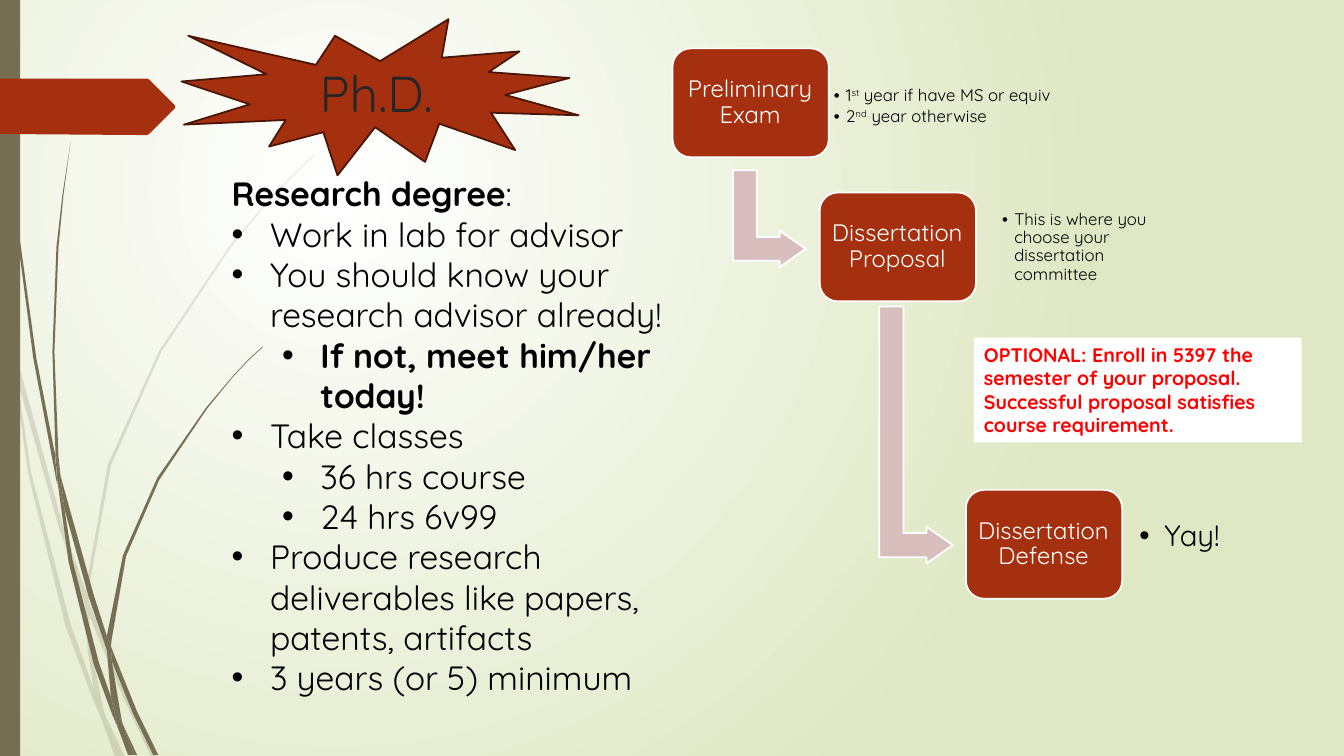
from typing import NamedTuple

from lxml import etree
from pptx import Presentation
from pptx.dml.color import RGBColor
from pptx.enum.shapes import MSO_SHAPE
from pptx.enum.text import MSO_ANCHOR, MSO_AUTO_SIZE, PP_ALIGN
from pptx.oxml.ns import qn
from pptx.shapes.autoshape import Shape
from pptx.slide import Slide
from pptx.util import Inches, Pt

STAR, RECTANGLE = MSO_SHAPE.EXPLOSION1, MSO_SHAPE.RECTANGLE
ROUNDED, BENT_ARROW = MSO_SHAPE.ROUNDED_RECTANGLE, MSO_SHAPE.BENT_UP_ARROW
TOP, MIDDLE = MSO_ANCHOR.TOP, MSO_ANCHOR.MIDDLE
LEFT, CENTER = PP_ALIGN.LEFT, PP_ALIGN.CENTER
NO_RESIZE = MSO_AUTO_SIZE.NONE
FONT = "Quicksand"
RUST, OLIVE, PINK = "A53010", "766F54", "D8BEBD"
WHITE, BLACK, RED = "FFFFFF", "000000", "FF0000"
Frame = tuple[float, float, float, float]


class Span(NamedTuple):
    text: str
    bold: bool = False
    raised: bool = False


class Para(NamedTuple):
    spans: list[Span]
    indent: float = 0
    hang: float = 0


class TextStyle(NamedTuple):
    size: float
    color: str = BLACK
    align: PP_ALIGN = LEFT
    anchor: MSO_ANCHOR = TOP
    inset_x: float = 0.1
    inset_y: float = 0.05
    line_spacing: float = 1
    space_after: float = 0


class Step(NamedTuple):
    name: str
    left: float
    top: float
    note_frame: Frame
    note_size: float
    note_inset: float
    notes: list[Para]


PALE_WISPS = [
    "0.11 3.5, 0.09 3.22, 0 2.82, 0 2.99, 0.1 3.44",
    "0.58 5.22, 0.84 5.99, 0.85 5.86, 0.62 5.2, 0.14 3.45, 0.17 3.76",
    "0.92 6.07, 0.88 5.96, 0.88 6.1, 1.23 6.94, 1.5 7.51, 1.55 7.51, 1.27 6.92",
    "1.19 7.51, 1.24 7.51, 1.05 7.11",
    "0.93 6.83, 0.7 6.19, 0.31 4.69, 0.17 3.76, 0.11 3.5, 0.28 4.7, 0.65 6.21, 0.92 6.93, 1.01 7.14, 0.99 7.07",
    "0.84 5.99, 0.87 6.46, 0.93 6.83, 0.96 6.92, 1.05 7.11, 1.03 7.06, 0.91 6.46, 0.88 6.1, 0.88 6.08",
    "0.88 5.84, 1.1 4.62, 1.6 3.49, 2.29 2.45, 2.68 1.98, 2.9 1.75, 3.12 1.54, 3.12 1.53, 2.89 1.75, "
    "2.68 1.97, 2.28 2.44, 1.58 3.48, 1.07 4.61, 0.85 5.84, 0.85 5.86, 0.88 5.96",
    "1.01 7.14, 1.14 7.51, 1.19 7.51",
    "0.88 6.08, 0.88 6.1, 0.88 5.96, 0.85 5.86, 0.84 5.99",
    "0.96 6.92, 0.93 6.83, 0.99 7.07, 1.01 7.14, 1.19 7.51, 1.05 7.11",
]
DARK_WISPS = [
    "0.07 1.1, 0.17 2.33, 0.33 3.55, 0.56 4.77, 0.57 4.81, 0.55 4.57, 0.55 4.53, 0.36 3.55, 0.19 2.32, "
    "0.08 1.09, 0.05 0.48, 0.04 0, 0.03 0, 0.04 0.48",
    "0.88 5.92, 1.06 6.45, 1.06 6.33, 1.06 6.31, 0.93 5.9, 0.6 4.72, 0.64 5.05",
    "1.13 6.49, 1.1 6.41, 1.11 6.56, 1.32 7.08, 1.52 7.49, 1.57 7.49, 1.36 7.06",
    "1.1 6.91, 0.98 6.57, 0.72 5.56, 0.64 5.05, 0.57 4.77, 0.68 5.57, 0.93 6.59, 1.11 7.08, 1.17 7.22, 1.16 7.17",
    "0.6 4.72, 0.58 4.53, 0.54 3.49, 0.58 2.45, 0.63 1.93, 0.7 1.41, 0.62 1.93, 0.56 2.45, 0.52 3.49, 0.55 4.49",
    "1.33 7.49, 1.36 7.49, 1.22 7.19",
    "0.57 4.77, 0.64 5.05, 0.6 4.72, 0.55 4.49, 0.55 4.53",
    "1.11 6.33, 1.25 5.52, 1.58 4.76, 2.05 4.06, 2.31 3.74, 2.45 3.59, 2.61 3.44, 2.6 3.44, 2.45 3.58, "
    "2.31 3.73, 2.04 4.05, 1.56 4.74, 1.22 5.51, 1.06 6.31, 1.1 6.41",
    "1.17 7.22, 1.27 7.49, 1.31 7.49",
    "1.06 6.45, 1.1 6.91, 1.16 7.06, 1.22 7.19, 1.21 7.16, 1.11 6.56, 1.09 6.51",
    "1.06 6.45, 1.09 6.51, 1.11 6.56, 1.1 6.41, 1.06 6.31, 1.06 6.33",
    "1.16 7.06, 1.1 6.91, 1.16 7.17, 1.17 7.22, 1.3 7.49, 1.33 7.49, 1.22 7.19",
]
PENNANT = "1.73 1.08, 1.48 1.33, 1.46 1.34, 1.36 1.34, 0 1.33, 0 0.78, 1.36 0.78, 1.46 0.78, 1.48 0.79, 1.73 1.04, 1.74 1.06"
DEGREE_NOTES = [
    Para([Span("Research degree", True), Span(":")]),
    Para([Span("Work in lab for advisor")], 0.38, 0.38),
    Para([Span("You should know your research advisor already!")], 0.38, 0.38),
    Para([Span("If not, meet him/her today!", True)], 0.88, 0.38),
    Para([Span("Take classes")], 0.38, 0.38),
    Para([Span("36 hrs course")], 0.88, 0.38),
    Para([Span("24 hrs 6v99")], 0.88, 0.38),
    Para([Span("Produce research deliverables like papers, patents, artifacts")], 0.38, 0.38),
    Para([Span("3 years (or 5) minimum")], 0.38, 0.38),
]
STEPS = [
    Step("Preliminary Exam", 6.67, 0.48, (8.2, 0.48, 3.53, 1.16), 12, 0.07, [
        Para([Span("1"), Span("st", raised=True), Span(" year if have MS or equiv")], 0.12, 0.12),
        Para([Span("2"), Span("nd", raised=True), Span(" year otherwise")], 0.12, 0.12)]),
    Step("Dissertation Proposal", 8.13, 1.91, (9.87, 1.94, 1.65, 1.03), 12, 0.07,
         [Para([Span("This is where you choose your dissertation committee")], 0.12, 0.12)]),
    Step("Dissertation Defense", 9.58, 4.86, (11.19, 4.89, 1.13, 0.88), 21, 0.11, [Para([Span("Yay!")], 0.25, 0.25)]),
]
ARROWS: list[Frame] = [(7.15, 1.81, 0.96, 0.72), (7.81, 3.95, 2.55, 0.73)]
OPTIONAL = "OPTIONAL: Enroll in 5397 the semester of your proposal. Successful proposal satisfies course requirement."


def rgb(color: str) -> RGBColor:
    return RGBColor.from_string(color)


def apply_format(target: object, values: dict[str, object]) -> None:
    for name, value in values.items():
        setattr(target, name, value)


def paint(shape: Shape, fill: str, line: str = "", alpha: int = 100) -> None:
    shape.shadow.inherit = False
    shape.fill.solid()
    shape.fill.fore_color.rgb = rgb(fill)
    if alpha < 100:
        color = shape.element.spPr.find(qn("a:solidFill"))[0]
        etree.SubElement(color, qn("a:alpha"), val=str(alpha * 1000))
    if line:
        shape.line.width = Pt(1.25)
        shape.line.color.rgb = rgb(line)
    else:
        shape.line.fill.background()


def add_preset(page: Slide, kind: MSO_SHAPE, frame: Frame, fill: str, line: str = "") -> Shape:
    shape = page.shapes.add_shape(kind, *map(Inches, frame))
    paint(shape, fill, line)
    return shape


def add_outline(page: Slide, outline: str, fill: str, alpha: int = 100) -> None:
    corners = [tuple(Inches(float(number)) for number in pair.split()) for pair in outline.split(", ")]
    builder = page.shapes.build_freeform(*corners[0])
    builder.add_line_segments(corners[1:], close=True)
    paint(builder.convert_to_shape(), fill, alpha=alpha)


def write(shape: Shape, paras: list[Para], style: TextStyle) -> None:
    frame, side, edge = shape.text_frame, Inches(style.inset_x), Inches(style.inset_y)
    apply_format(frame, {"word_wrap": True, "auto_size": NO_RESIZE, "vertical_anchor": style.anchor,
                         "margin_left": side, "margin_right": side, "margin_top": edge, "margin_bottom": edge})
    for index, item in enumerate(paras):
        para = frame.add_paragraph() if index else frame.paragraphs[0]
        apply_format(para, {"alignment": style.align, "line_spacing": style.line_spacing,
                            "space_before": Pt(0), "space_after": Pt(style.space_after)})
        if item.hang:
            properties = para._p.get_or_add_pPr()
            properties.set("marL", str(Inches(item.indent)))
            properties.set("indent", str(-Inches(item.hang)))
            etree.SubElement(properties, qn("a:buFont"), typeface="Arial")
            etree.SubElement(properties, qn("a:buChar"), char="•")
        for part in item.spans:
            span = para.add_run()
            span.text = part.text
            apply_format(span.font, {"name": FONT, "size": Pt(style.size), "bold": part.bold})
            span.font.color.rgb = rgb(style.color)
            if part.raised:
                span._r.get_or_add_rPr().set("baseline", "30000")


def add_text(page: Slide, frame: Frame, paras: list[Para], style: TextStyle) -> None:
    write(page.shapes.add_textbox(*map(Inches, frame)), paras, style)


def set_background(page: Slide) -> None:
    fill = page.background.fill
    fill.gradient()
    for stop, color, position in zip(fill.gradient_stops, (WHITE, "DFE8C4"), (0, 1)):
        stop.color.rgb = rgb(color)
        stop.position = position
    gradient = next(page.element.iter(qn("a:gradFill")))
    gradient.remove(gradient.find(qn("a:lin")))
    circle = etree.SubElement(gradient, qn("a:path"), {"path": "circle"})
    etree.SubElement(circle, qn("a:fillToRect"), l="50000", t="50000", r="100000", b="100000")


def add_title(page: Slide) -> None:
    title = page.shapes.title
    sides = zip(("left", "top", "width", "height"), map(Inches, (3.07, 0.57, 2.29, 0.91)))
    apply_format(title, dict(sides))
    write(title, [Para([Span("Ph.D.")])], TextStyle(36, "262626"))
    title.element.getparent().append(title.element)


def add_step(page: Slide, step: Step) -> None:
    add_preset(page, ROUNDED, (step.left, step.top, 1.55, 1.08), RUST, WHITE)
    add_text(page, (step.left + 0.05, step.top + 0.05, 1.44, 0.98), [Para([Span(step.name)])],
             TextStyle(17, WHITE, CENTER, MIDDLE, 0.07, 0.07, 0.9, 6))
    inset = step.note_inset
    add_text(page, step.note_frame, step.notes, TextStyle(step.note_size, BLACK, LEFT, MIDDLE, inset, inset, 0.9, 2))


def main() -> None:
    deck = Presentation()
    apply_format(deck, {"slide_width": Inches(13.33), "slide_height": Inches(7.5)})
    page = deck.slides.add_slide(deck.slide_layouts[5])
    set_background(page)
    for wisps, alpha in ((PALE_WISPS, 20), (DARK_WISPS, 100)):
        for wisp in wisps:
            add_outline(page, wisp, OLIVE, alpha)
    add_preset(page, RECTANGLE, (0, 0, 0.2, 7.5), OLIVE)
    add_outline(page, PENNANT, RUST)
    add_preset(page, STAR, (1.8, 0.19, 3.94, 1.55), RUST, "481507")
    add_title(page)
    add_text(page, (2.2, 1.67, 4.75, 5.35), DEGREE_NOTES, TextStyle(24))
    for frame in ARROWS:
        arrow = add_preset(page, BENT_ARROW, frame, PINK, WHITE)
        arrow.rotation = 90
        for index, value in enumerate((0.328, 0.25, 0.358)):
            arrow.adjustments[index] = value
    for step in STEPS:
        add_step(page, step)
    notice = add_preset(page, RECTANGLE, (9.66, 3.35, 3.25, 1.04), WHITE)
    write(notice, [Para([Span(OPTIONAL, True)])], TextStyle(14, RED))
    deck.save("out.pptx")


if __name__ == "__main__":
    main()
